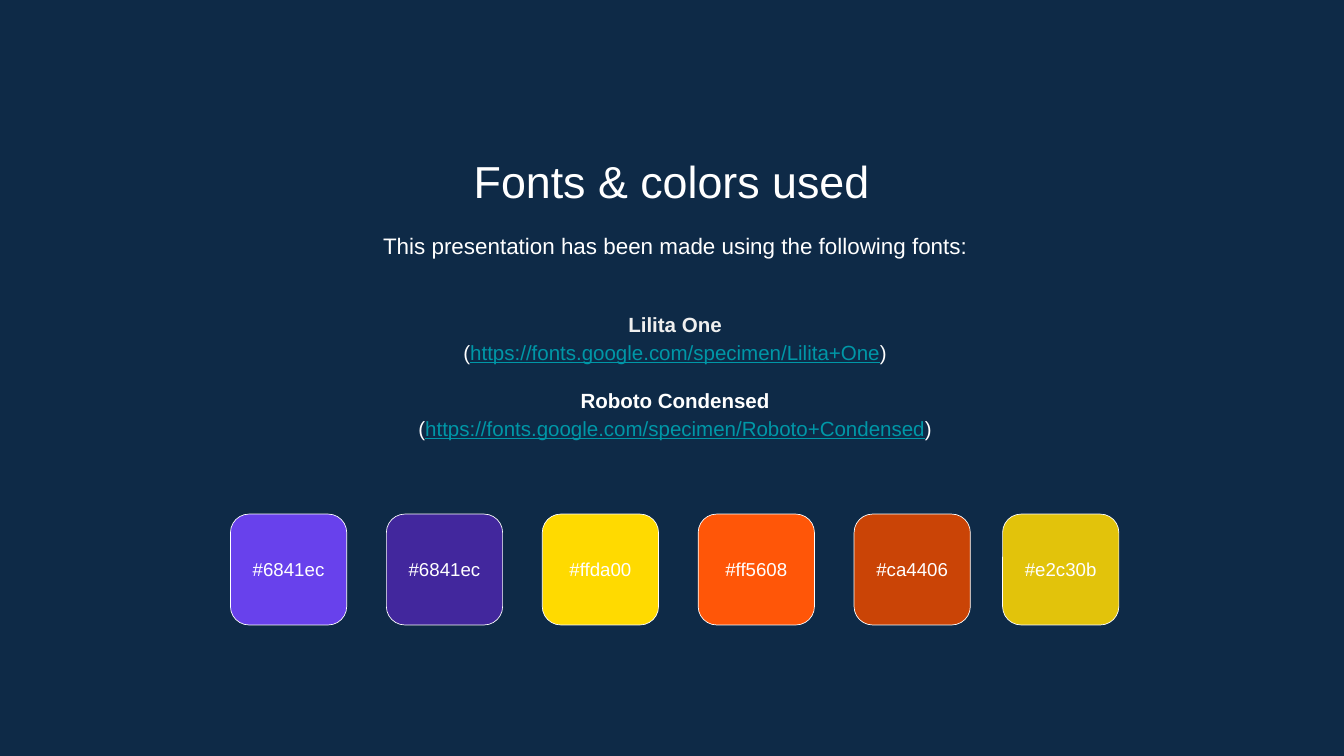
import pptx
import pptx.util
from pptx.dml.color import RGBColor
from pptx.enum.shapes import MSO_SHAPE
from pptx.enum.text import MSO_ANCHOR, MSO_AUTO_SIZE, PP_ALIGN

PX = 9144  # EMU per px, 100 px to the inch
FONT = "Arial"
INSET = 20
COLORS = {
    "background": "0E2A47",
    "white": "FFFFFF",
    "off_white": "EFEFEF",
    "link": "0097A7",
}
FONT_SOURCES = [
    ("Lilita One", "off_white", "https://fonts.google.com/specimen/Lilita+One"),
    ("Roboto Condensed", "white", "https://fonts.google.com/specimen/Roboto+Condensed"),
]
# Fill and label of each swatch
SWATCHES = [
    ("6841EC", "#6841ec"),
    ("42279D", "#6841ec"),
    ("FFDA00", "#ffda00"),
    ("FF5608", "#ff5608"),
    ("CA4406", "#ca4406"),
    ("E2C30B", "#e2c30b"),
]


def px(value):
    return pptx.util.Emu(value * PX)


def rgb(name):
    return RGBColor.from_string(COLORS[name])


def set_frame(frame, anchor=MSO_ANCHOR.TOP, inset=INSET):
    frame.word_wrap = True
    frame.auto_size = MSO_AUTO_SIZE.NONE
    frame.vertical_anchor = anchor
    frame.margin_left = frame.margin_right = px(inset)
    frame.margin_top = frame.margin_bottom = px(inset)


def set_paragraph(paragraph, size, color="white", bold=False, spacing=1.0):
    paragraph.alignment = PP_ALIGN.CENTER
    paragraph.line_spacing = spacing
    font = paragraph.font
    font.name, font.size, font.bold = FONT, pptx.util.Pt(size), bold
    font.color.rgb = rgb(color)


def add_title(slide, left, top, width, height):
    title = slide.shapes.title
    title.left, title.top = px(left), px(top)
    title.width, title.height = px(width), px(height)
    set_frame(title.text_frame)
    title.text_frame.text = "Fonts & colors used"
    set_paragraph(title.text_frame.paragraphs[0], 48)


def add_intro(slide, left, top, width, height):
    frame = slide.shapes.add_textbox(px(left), px(top), px(width), px(height)).text_frame
    set_frame(frame)
    frame.text = "This presentation has been made using the following fonts:"
    set_paragraph(frame.paragraphs[0], 24, spacing=1.15)


def add_font_list(slide, left, top, width, height):
    frame = slide.shapes.add_textbox(px(left), px(top), px(width), px(height)).text_frame
    set_frame(frame, MSO_ANCHOR.MIDDLE)
    for index, (font_name, color, address) in enumerate(FONT_SOURCES):
        heading = frame.add_paragraph() if index else frame.paragraphs[0]
        heading.text = font_name
        set_paragraph(heading, 22, color, bold=True, spacing=1.15)
        if index:
            heading.space_before = pptx.util.Pt(21)

        # Address in brackets, with only the address underlined
        source = frame.add_paragraph()
        set_paragraph(source, 22, spacing=1.15)
        for text in ("(", address, ")"):
            run = source.add_run()
            run.text = text
            if text == address:
                run.font.underline = True
                run.font.color.rgb = rgb("link")


def add_swatches(slide, left, top, width, height):
    swatch_width, step = 173, 232
    for index, (fill, label) in enumerate(SWATCHES):
        # The last swatch is aligned with the right edge of the row
        offset = min(index * step, width - swatch_width)
        swatch = slide.shapes.add_shape(
            MSO_SHAPE.ROUNDED_RECTANGLE,
            px(left + offset), px(top), px(swatch_width), px(height),
        )
        swatch.shadow.inherit = False
        swatch.fill.solid()
        swatch.fill.fore_color.rgb = RGBColor.from_string(fill)
        swatch.line.color.rgb = rgb("white")
        swatch.line.width = pptx.util.Pt(0.75)
        set_frame(swatch.text_frame, MSO_ANCHOR.MIDDLE, inset=0)
        swatch.text_frame.text = label
        set_paragraph(swatch.text_frame.paragraphs[0], 20)


def main():
    deck = pptx.Presentation()
    deck.slide_width, deck.slide_height = px(2000), px(1125)
    slide = deck.slides.add_slide(deck.slide_layouts.get_by_name("Title Only"))
    slide.background.fill.solid()
    slide.background.fill.fore_color.rgb = rgb("background")

    add_title(slide, 229, 209, 1541, 106)
    add_intro(slide, 234, 319, 1541, 96)
    add_font_list(slide, 234, 420, 1541, 274)
    add_swatches(slide, 343, 765, 1322, 165)
    deck.save("out.pptx")


if __name__ == "__main__":
    main()
